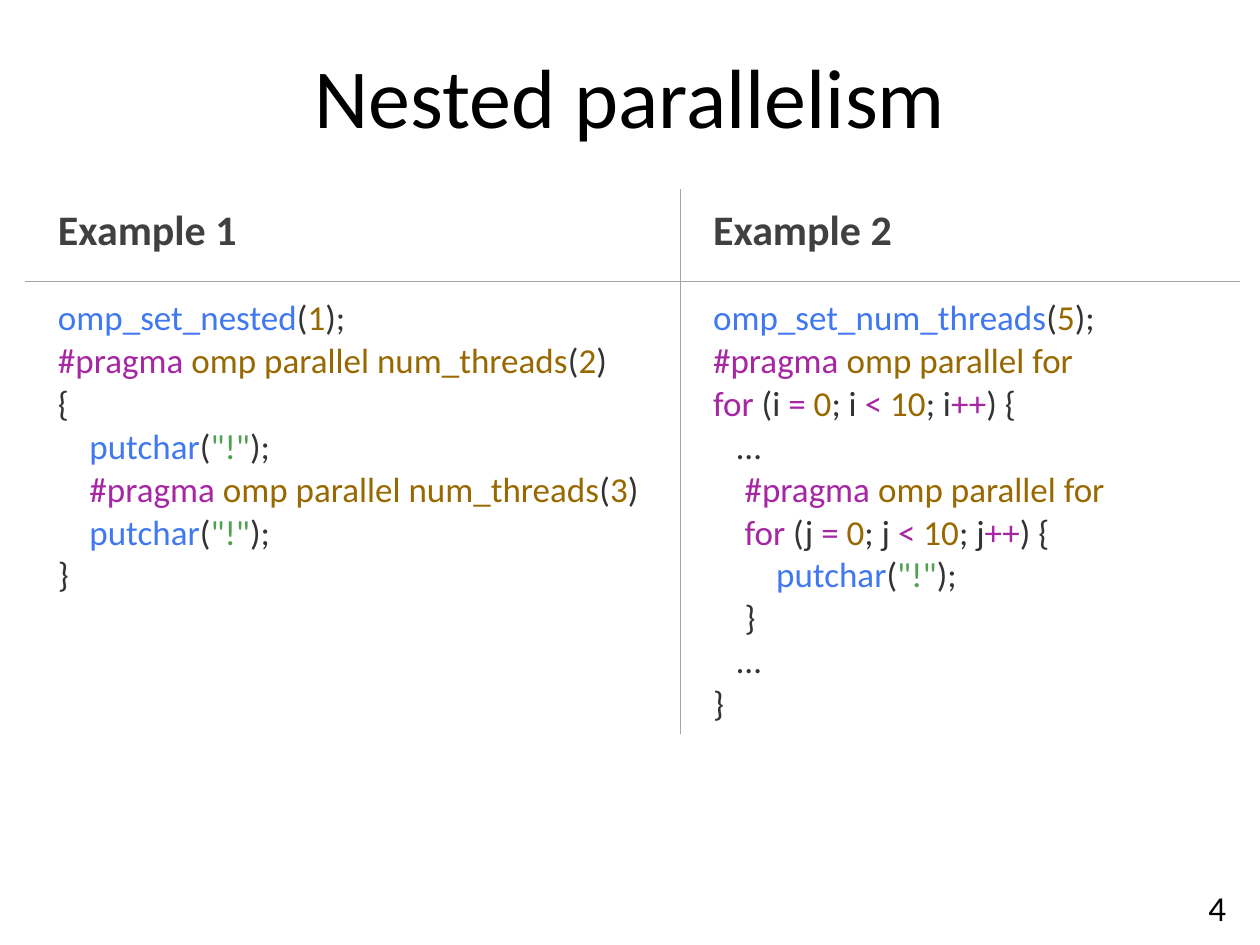
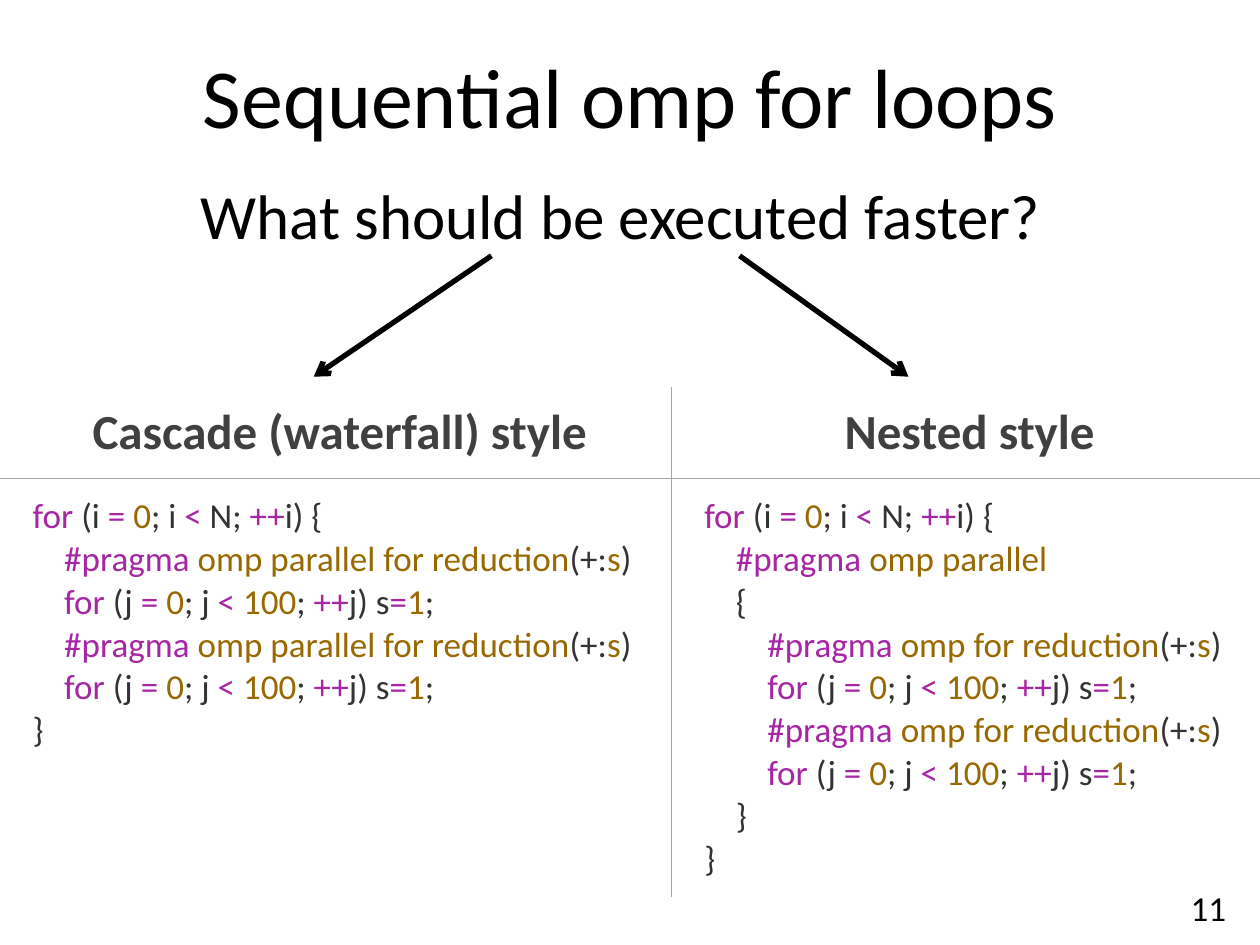
"""Builds two slides that compare OpenMP code samples."""
from lxml import etree
from pptx import Presentation
from pptx import util as u
from pptx.dml import color
from pptx.enum import shapes, text
from pptx.oxml import ns

COLOURS = {"ink": "000000", "heading": "404040", "rule": "A6A6A6", "plain": "333333",
           "call": "4078F2", "keyword": "A626A4", "literal": "986801", "string": "50A14F"}
FONT = "Calibri"
INDENT = 0.25
CALLS = {"omp_set_nested", "omp_set_num_threads", "putchar"}
KEYWORDS = {"#pragma", "for", "=", "<", "++"}

PUTCHAR = 'putchar|(|"!"|);'
PARALLEL_FOR = "#pragma |omp parallel for"
REDUCTION = " reduction|(+:|s|)"
OUTER_LOOP = "for| (i |= |0|; i |<| N; |++|i) {"
SUM_LOOP = "for| (j |= |0|; j |< |100|; |++|j) s|=|1|;"

EXAMPLE_1 = [(0, "omp_set_nested|(|1|);"),
             (0, "#pragma |omp parallel num_threads|(|2|)"),
             (0, "{"),
             (1, PUTCHAR),
             (1, "#pragma |omp parallel num_threads|(|3|)"),
             (1, PUTCHAR),
             (0, "}")]
EXAMPLE_2 = [(0, "omp_set_num_threads|(|5|);"),
             (0, PARALLEL_FOR),
             (0, "for| (i |= |0|; i |< |10|; i|++|) {"),
             (0.75, "…"),
             (1, PARALLEL_FOR),
             (1, "for| (j |= |0|; j |< |10|; j|++|) {"),
             (2, PUTCHAR),
             (1, "}"),
             (0.75, "…"),
             (0, "}")]
CASCADE = [(0, OUTER_LOOP),
           *[(1, PARALLEL_FOR + REDUCTION), (1, SUM_LOOP)] * 2,
           (0, "}")]
NESTED = [(0, OUTER_LOOP),
          (1, "#pragma |omp parallel"),
          (1, "{"),
          *[(2, "#pragma |omp for" + REDUCTION), (2, SUM_LOOP)] * 2,
          (1, "}"),
          (0, "}")]


def style_run(run, size, colour, bold=False):
    """Apply the shared font, a size and a named colour to a run."""
    run.font.name = FONT
    run.font.size = u.Pt(size)
    run.font.bold = bold
    run.font.color.rgb = color.RGBColor.from_string(COLOURS[colour])


def write_line(frame, wording, size, colour, align, bold=False):
    """Fill a text frame with one styled line."""
    frame.text = wording
    frame.paragraphs[0].alignment = align
    style_run(frame.paragraphs[0].runs[0], size, colour, bold)


def token_colour(token):
    """Name the syntax colour of a code token."""
    word = token.strip()
    if word in CALLS:
        return "call"
    if word in KEYWORDS:
        return "keyword"
    if word.startswith('"'):
        return "string"
    if word.isdigit() or word == "s" or word.startswith("omp "):
        return "literal"
    return "plain"


def write_code(frame, lines):
    """Write indented code lines, whose tokens are parted by bars."""
    for number, (level, line) in enumerate(lines):
        paragraph = frame.add_paragraph() if number else frame.paragraphs[0]
        paragraph.alignment = text.PP_ALIGN.LEFT
        paragraph._p.get_or_add_pPr().set("marL", str(u.Inches(level * INDENT)))
        for token in line.split("|"):
            run = paragraph.add_run()
            run.text = token.replace(" ", "\u00a0")
            style_run(run, 20, token_colour(token))


def rule_cell(cell, row, column):
    """Draw only the inner rules of a two by two table cell."""
    properties = cell._tc.get_or_add_tcPr()
    inner = {"lnL": column == 1, "lnR": column == 0, "lnT": row == 1, "lnB": row == 0}
    for side, visible in inner.items():
        edge = etree.SubElement(properties, ns.qn(f"a:{side}"), w=str(u.Pt(0.5)))
        if visible:
            fill = etree.SubElement(edge, ns.qn("a:solidFill"))
            etree.SubElement(fill, ns.qn("a:srgbClr"), val=COLOURS["rule"])
        else:
            etree.SubElement(edge, ns.qn("a:noFill"))
    cell.fill.background()


def add_comparison(slide, left, top, widths, heights, samples, size, align):
    """Place a table with a heading above each of two code samples."""
    box = [u.Inches(n) for n in (left, top, sum(widths), sum(heights))]
    table = slide.shapes.add_table(2, 2, *box).table
    table.first_row = table.horz_banding = False
    for row, height in enumerate(heights):
        table.rows[row].height = u.Inches(height)
    for column, (heading, code) in enumerate(samples):
        table.columns[column].width = u.Inches(widths[column])
        for row in range(2):
            cell = table.cell(row, column)
            cell.margin_left, cell.margin_right = u.Inches(0.26), u.Inches(0.2)
            cell.margin_top = cell.margin_bottom = u.Inches(0.13)
            rule_cell(cell, row, column)
        write_line(table.cell(0, column).text_frame, heading, size, "heading", align, True)
        write_code(table.cell(1, column).text_frame, code)


def add_question(slide, left, top, width, height, wording):
    """Place the centred question below the title."""
    box = [u.Inches(n) for n in (left, top, width, height)]
    frame = slide.shapes.add_textbox(*box).text_frame
    frame.word_wrap = False
    frame.auto_size = text.MSO_AUTO_SIZE.SHAPE_TO_FIT_TEXT
    write_line(frame, wording, 36, "ink", text.PP_ALIGN.CENTER)


def add_arrow(slide, start, end):
    """Draw a heavy arrow between two points."""
    points = [u.Inches(n) for n in (*start, *end)]
    arrow = slide.shapes.add_connector(shapes.MSO_CONNECTOR.STRAIGHT, *points)
    arrow.line.width = u.Pt(3)
    arrow.line.color.rgb = color.RGBColor.from_string(COLOURS["ink"])
    etree.SubElement(arrow.line._get_or_add_ln(), ns.qn("a:tailEnd"), type="arrow")
    etree.SubElement(arrow._element.spPr, ns.qn("a:effectLst"))


def add_titled_slide(deck, title, number):
    """Add a slide with the shared title band and page number."""
    slide = deck.slides.add_slide(deck.slide_layouts[5])
    heading = slide.shapes.title
    heading.left, heading.top = u.Inches(0), u.Inches(0)
    heading.width, heading.height = deck.slide_width, u.Inches(1.5)
    heading.text_frame.vertical_anchor = text.MSO_ANCHOR.MIDDLE
    write_line(heading.text_frame, title, 48, "ink", text.PP_ALIGN.CENTER)
    box = [u.Inches(n) for n in (7.5, 7, 2.33, 0.4)]
    page = slide.shapes.add_textbox(*box).text_frame
    page.word_wrap = True
    page.vertical_anchor = text.MSO_ANCHOR.MIDDLE
    write_line(page, str(number), 20, "ink", text.PP_ALIGN.RIGHT)
    return slide


def build_nested_parallelism(deck):
    """Build the slide with two nested parallelism examples."""
    slide = add_titled_slide(deck, "Nested parallelism", 4)
    samples = [("Example 1", EXAMPLE_1), ("Example 2", EXAMPLE_2)]
    add_comparison(slide, 0.2, 1.5, (5.2, 4.44), (0.73, 3.59), samples,
                   24, text.PP_ALIGN.LEFT)


def build_sequential_loops(deck):
    """Build the slide that asks which loop style is faster."""
    slide = add_titled_slide(deck, "Sequential omp for loops", 11)
    add_arrow(slide, (3.9, 2.03), (2.49, 2.99))
    add_arrow(slide, (5.87, 2.03), (7.21, 2.99))
    add_question(slide, 1.33, 1.35, 7.19, 0.71, "What should be executed faster?")
    samples = [("Cascade (waterfall) style", CASCADE), ("Nested style", NESTED)]
    add_comparison(slide, 0, 3.07, (5.33, 4.67), (0.73, 3.32), samples,
                   28, text.PP_ALIGN.CENTER)


def main():
    """Build and save the deck."""
    deck = Presentation()
    deck.slide_width, deck.slide_height = u.Inches(10), u.Inches(7.5)
    build_nested_parallelism(deck)
    build_sequential_loops(deck)
    deck.save("out.pptx")


main()
